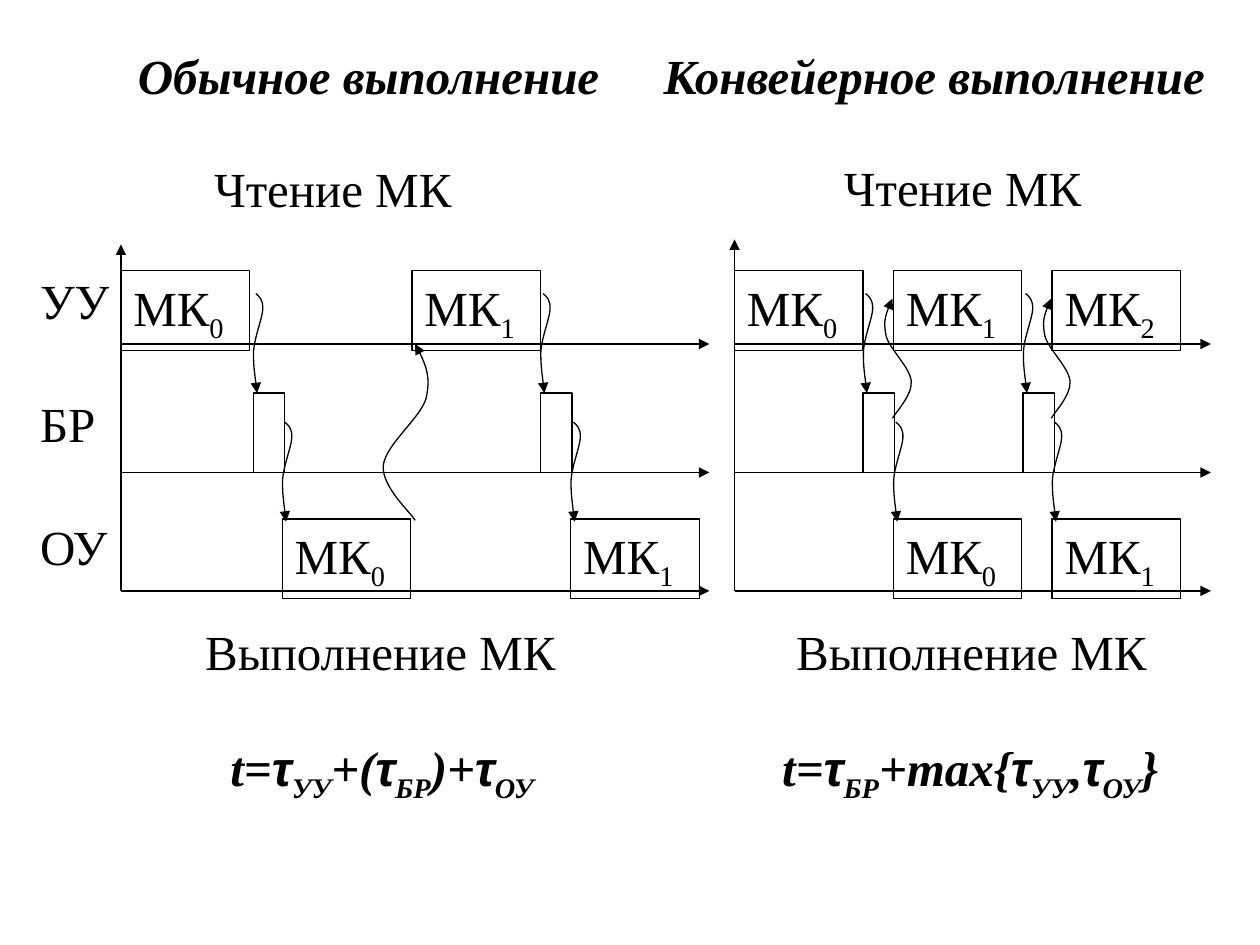
from dataclasses import dataclass
from typing import NamedTuple

from lxml.etree import SubElement
from pptx import Presentation
from pptx.dml.color import RGBColor
from pptx.enum.shapes import MSO_CONNECTOR, MSO_SHAPE
from pptx.enum.text import MSO_ANCHOR, PP_ALIGN
from pptx.oxml.ns import qn
from pptx.util import Inches, Pt


@dataclass(frozen=True)
class Theme:
    ink: RGBColor = RGBColor(0, 0, 0)
    serif: str = "Times New Roman"
    greek: str = "Arial"
    text_size: Pt = Pt(28)
    line_width: Pt = Pt(0.75)


class Box(NamedTuple):
    left: float
    top: float
    width: float
    height: float


THEME = Theme()
COLUMNS, ROWS = 100, 75
CELL = Inches(10) // COLUMNS

BLOCK_WIDTH, BUFFER_WIDTH, BLOCK_HEIGHT = 10.2, 2.5, 6.3
TEXT_HEIGHT = 5.7
LANE_RISES = (19.6, 9.4, 0)
CONTROL_RISE, BUFFER_RISE, OPERATION_RISE = 25.4, 15.7, 5.7
HANDOFF_RISES = (23.6, 13.4)
HANDOFF_CURVE = ((0.25, 0), (0.6, 0.03), (1, 0.06), (0.95, 0.16), (0.9, 0.25),
                 (0.12, 0.44), (0.03, 0.58), (0, 0.72), (0.3, 0.92), (0.38, 1))
RETURN_CURVE = ((0.32, 0), (0.14, 0.09), (0, 0.19), (0.1, 0.31), (0.21, 0.42),
                (0.92, 0.57), (0.97, 0.69), (1, 0.81), (0.43, 0.95), (0.32, 1))
MIRRORED_RETURN = tuple((1 - x, y) for x, y in RETURN_CURVE)


def cells(*lengths):
    return [round(length * CELL) for length in lengths]


def style_line(shape, arrow=None):
    shape.line.color.rgb = THEME.ink
    shape.line.width = THEME.line_width
    if arrow:
        outline = shape.element.xpath(".//a:ln")[0]
        SubElement(outline, qn(f"a:{arrow}"), type="triangle")


def write(shape, parts, alignment=PP_ALIGN.LEFT, emphasis=False):
    frame = shape.text_frame
    frame.word_wrap = True
    frame.vertical_anchor = MSO_ANCHOR.TOP
    paragraph = frame.paragraphs[0]
    paragraph.alignment = alignment
    for part in parts:
        run = paragraph.add_run()
        run.text = part.removeprefix("_")
        run.font.name = THEME.greek if part == "τ" else THEME.serif
        run.font.size = THEME.text_size
        run.font.color.rgb = THEME.ink
        run.font.bold = run.font.italic = emphasis
        if part.startswith("_"):
            run.font._element.set("baseline", "-25000")


def add_label(slide, box, text, alignment=PP_ALIGN.LEFT, emphasis=False):
    label = slide.shapes.add_textbox(*cells(*box))
    write(label, [text], alignment, emphasis)


def add_formula(slide, box, formula):
    label = slide.shapes.add_textbox(*cells(*box))
    write(label, formula.split(), emphasis=True)


def add_axis(slide, start, end):
    axis = slide.shapes.add_connector(MSO_CONNECTOR.STRAIGHT, *cells(*start, *end))
    style_line(axis, "tailEnd")
    SubElement(axis.element.xpath("./p:spPr")[0], qn("a:effectLst"))


def add_block(slide, box, parts=()):
    block = slide.shapes.add_shape(MSO_SHAPE.RECTANGLE, *cells(*box))
    block.shadow.inherit = False
    block.fill.background()
    style_line(block)
    write(block, parts)


def add_curve(slide, box, curve, arrow):
    points = [cells(box.left + x * box.width, box.top + y * box.height) for x, y in curve]
    builder = slide.shapes.build_freeform(*points[0])
    builder.add_line_segments(points[1:], close=False)
    shape = builder.convert_to_shape()
    segments = shape.element.xpath(".//a:path/a:lnTo")
    for first in range(0, len(segments), 3):
        bezier = SubElement(segments[first].getparent(), qn("a:cubicBezTo"))
        for segment in segments[first:first + 3]:
            bezier.append(segment[0])
            segment.getparent().remove(segment)
    shape.shadow.inherit = False
    shape.fill.background()
    style_line(shape, arrow)


def add_timing_diagram(slide, box, controls, buffers, operations, returns, return_curve):
    bottom = box.top + box.height
    right = box.left + box.width
    add_axis(slide, (box.left, bottom), (box.left, box.top))
    for rise in LANE_RISES:
        add_axis(slide, (box.left, bottom - rise), (right, bottom - rise))
    for offsets, rise in ((controls, CONTROL_RISE), (operations, OPERATION_RISE)):
        for number, offset in enumerate(offsets):
            block = Box(box.left + offset, bottom - rise, BLOCK_WIDTH, BLOCK_HEIGHT)
            add_block(slide, block, ["МК", f"_{number}"])
    for offset in buffers:
        add_block(slide, Box(box.left + offset, bottom - BUFFER_RISE, BUFFER_WIDTH, BLOCK_HEIGHT))
    for offsets, rise in zip((buffers, operations), HANDOFF_RISES):
        for offset in offsets:
            handoff = Box(box.left + offset, bottom - rise, 0.8, 7.9)
            add_curve(slide, handoff, HANDOFF_CURVE, "tailEnd")
    for offset, rise, width, height in returns:
        feedback = Box(box.left + offset, bottom - rise, width, height)
        add_curve(slide, feedback, return_curve, "headEnd")


def add_lane_labels(slide, box, names):
    pitch = box.height / len(names)
    for row, name in enumerate(names):
        add_label(slide, Box(box.left, box.top + row * pitch, box.width, TEXT_HEIGHT), name)


def main():
    presentation = Presentation()
    presentation.slide_width, presentation.slide_height = cells(COLUMNS, ROWS)
    slide = presentation.slides.add_slide(presentation.slide_layouts[6])

    add_label(slide, Box(1.5, 3.1, 55.5, TEXT_HEIGHT), "Обычное выполнение",
              PP_ALIGN.CENTER, True)
    add_label(slide, Box(45.8, 3.1, 50.8, TEXT_HEIGHT), "Конвейерное выполнение",
              PP_ALIGN.RIGHT, True)
    add_label(slide, Box(16, 12.1, 30.8, TEXT_HEIGHT), "Чтение МК")
    add_label(slide, Box(58.6, 12, 35.6, TEXT_HEIGHT), "Чтение МК", PP_ALIGN.CENTER)
    add_lane_labels(slide, Box(2.2, 21, 8.3, 29.25), ("УУ", "БР", "ОУ"))

    add_timing_diagram(
        slide, Box(9.6, 19.4, 46.7, 27.5),
        controls=(0, 23.1), buffers=(10.5, 33.3), operations=(12.8, 35.7),
        returns=((20.7, 19.6, 3.9, 14),), return_curve=MIRRORED_RETURN)
    add_timing_diagram(
        slide, Box(58.3, 19, 37.8, 27.9),
        controls=(0, 12.6, 25.2), buffers=(10.2, 22.9), operations=(12.6, 25.2),
        returns=((11.8, 23.2, 2.3, 9.5), (24.4, 23.2, 2.3, 9.5)), return_curve=RETURN_CURVE)

    add_label(slide, Box(15.3, 48.8, 30.8, TEXT_HEIGHT), "Выполнение МК")
    add_label(slide, Box(58.6, 48.8, 37, TEXT_HEIGHT), "Выполнение МК", PP_ALIGN.CENTER)
    add_formula(slide, Box(17.3, 58, 41.8, BLOCK_HEIGHT), "t= τ _УУ +( τ _БР )+ τ _ОУ")
    add_formula(slide, Box(61.1, 58, 36.9, BLOCK_HEIGHT), "t= τ _БР +max{ τ _УУ , τ _ОУ }")

    presentation.save("out.pptx")


if __name__ == "__main__":
    main()
